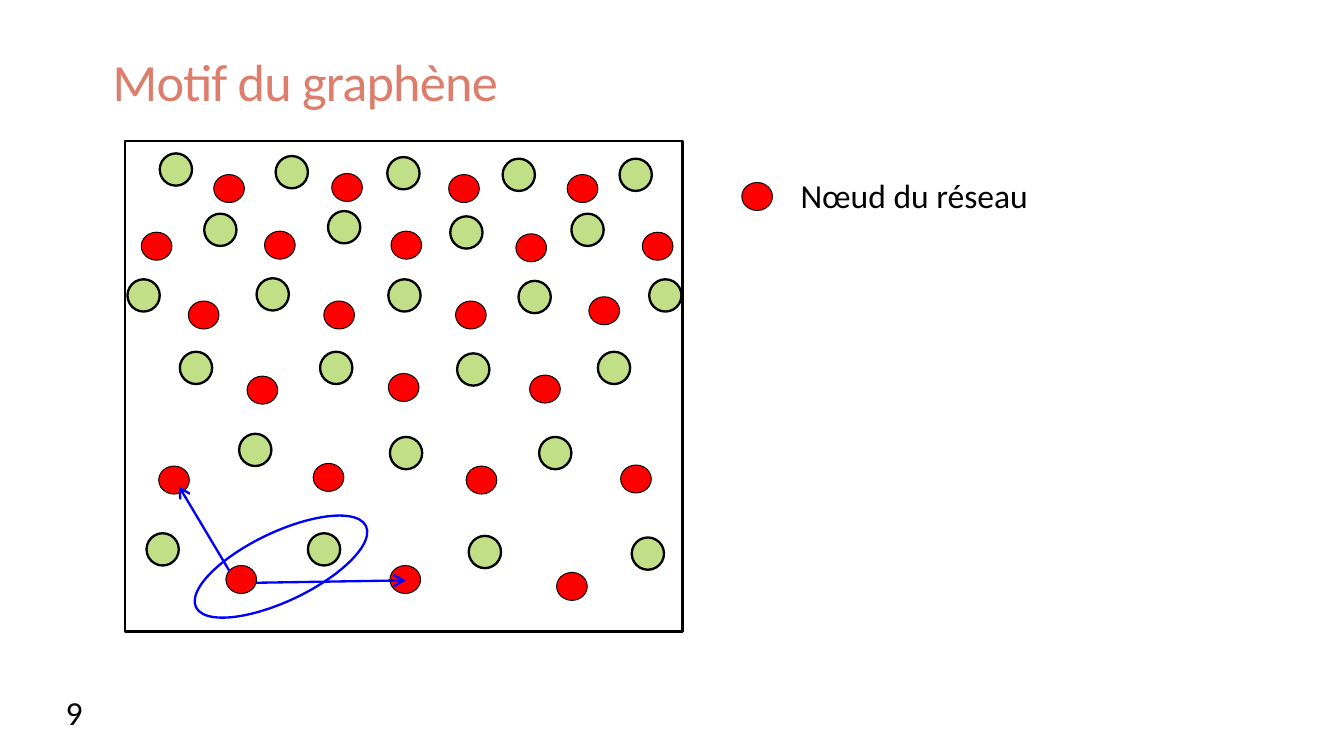
from lxml import etree
from pptx import Presentation
from pptx.dml.color import RGBColor
from pptx.enum.shapes import MSO_CONNECTOR, MSO_SHAPE
from pptx.enum.text import MSO_ANCHOR
from pptx.oxml.ns import qn
from pptx.util import Cm, Pt

OVAL, RECTANGLE = MSO_SHAPE.OVAL, MSO_SHAPE.RECTANGLE
STRAIGHT = MSO_CONNECTOR.STRAIGHT
TOP, BOTTOM = MSO_ANCHOR.TOP, MSO_ANCHOR.BOTTOM
BLACK, RED, GREEN, BLUE, CORAL = "000000", "FF0000", "C1DF87", "0000FF", "DC7E6B"
NODE = dict(width=0.58, height=0.53, fill=RED, weight=0.5)
ATOM = dict(width=0.61, height=0.61, fill=GREEN)

hex_color = RGBColor.from_string

prs = Presentation()
prs.slide_width, prs.slide_height = Cm(25.4), Cm(14.29)
slide = prs.slides.add_slide(prs.slide_layouts[6])


def add_text(text, left, top, width, height, size=18, color=BLACK,
             anchor=TOP, wrap=False, line_spacing=None, tracking=None):
    frame = slide.shapes.add_textbox(Cm(left), Cm(top), Cm(width), Cm(height)).text_frame
    frame.word_wrap = wrap
    frame.vertical_anchor = anchor
    paragraph = frame.paragraphs[0]
    paragraph.line_spacing = line_spacing
    run = paragraph.add_run()
    run.text = text
    run.font.name = "Calibri"
    run.font.size = Pt(size)
    run.font.color.rgb = hex_color(color)
    if tracking is not None:
        run._r.get_or_add_rPr().set("spc", str(round(tracking * 100)))


def add_outlined(kind, left, top, width, height, fill=None, line=BLACK, weight=1.25, rotation=0):
    shape = slide.shapes.add_shape(kind, Cm(left), Cm(top), Cm(width), Cm(height))
    shape.shadow.inherit = False
    shape.rotation = rotation
    if fill:
        shape.fill.solid()
        shape.fill.fore_color.rgb = hex_color(fill)
    else:
        shape.fill.background()
    shape.line.color.rgb = hex_color(line)
    shape.line.width = Pt(weight)


# Title and slide number
add_text("Motif du graphène", 1.88, 0.41, 21.29, 1.83, size=28, color=CORAL,
         anchor=BOTTOM, wrap=True, line_spacing=0.85, tracking=-0.4)
add_text("9", 0.99, 12.95, 1.27, 1.02)

# Lattice nodes, row by row from the top
lattice_nodes = [
    (4.04, 3.30), (6.27, 3.28), (8.48, 3.30), (10.72, 3.30),
    (2.67, 4.39), (5.00, 4.37), (7.39, 4.37), (9.75, 4.42), (12.14, 4.39),
    (3.56, 5.69), (6.12, 5.69), (8.61, 5.69), (11.13, 5.61),
    (4.67, 7.11), (7.34, 7.06), (10.01, 7.09),
    (3.00, 8.81), (5.92, 8.76), (8.81, 8.81), (11.73, 8.79),
    (7.37, 10.69), (10.52, 10.82),
]
for left, top in lattice_nodes:
    add_outlined(OVAL, left, top, **NODE)

# Second atom of each motif, row by row from the top
second_atoms = [
    (3.02, 2.90), (5.21, 2.95), (7.32, 2.97), (9.50, 3.00), (11.71, 3.00),
    (3.86, 4.04), (6.20, 3.99), (8.51, 4.09), (10.80, 4.04),
    (2.41, 5.28), (4.85, 5.26), (7.34, 5.28), (9.80, 5.31), (12.27, 5.28),
    (3.40, 6.65), (6.05, 6.65), (8.64, 6.68), (11.30, 6.65),
    (4.52, 8.20), (7.37, 8.26), (10.19, 8.26),
    (2.77, 10.08), (5.82, 10.08), (8.86, 10.13), (11.94, 10.16),
]
for left, top in second_atoms:
    add_outlined(OVAL, left, top, **ATOM)

# Motif outline around one pair of atoms
add_outlined(OVAL, 3.53, 10.06, 3.56, 1.3, line=BLUE, rotation=334.5)

# Lattice vectors, with the origin node over their starting points
for x1, y1, x2, y2 in [(4.34, 10.8, 3.38, 9.19), (4.55, 11.02, 7.67, 10.97)]:
    vector = slide.shapes.add_connector(STRAIGHT, Cm(x1), Cm(y1), Cm(x2), Cm(y2))
    vector.line.color.rgb = hex_color(BLUE)
    vector.line.width = Pt(1.25)
    etree.SubElement(vector.line._get_or_add_ln(), qn("a:tailEnd"), type="arrow")
    etree.SubElement(vector._element.spPr, qn("a:effectLst"))
add_outlined(OVAL, 4.27, 10.69, **NODE)

# Frame around the lattice
add_outlined(RECTANGLE, 2.36, 2.67, 10.54, 9.27)

# Legend
add_outlined(OVAL, 14.02, 3.45, **NODE)
add_text("Nœud du réseau", 14.88, 3.18, 4.88, 1.02)

prs.save("out.pptx")
